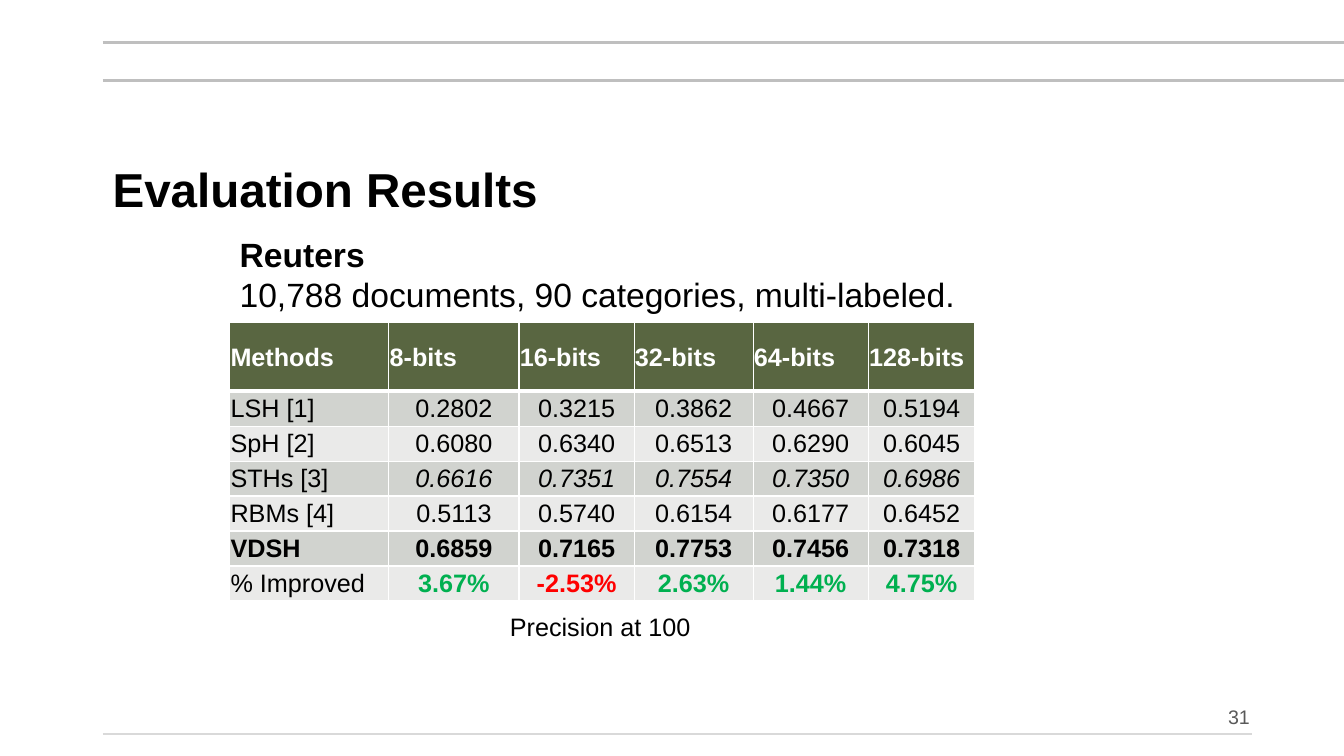
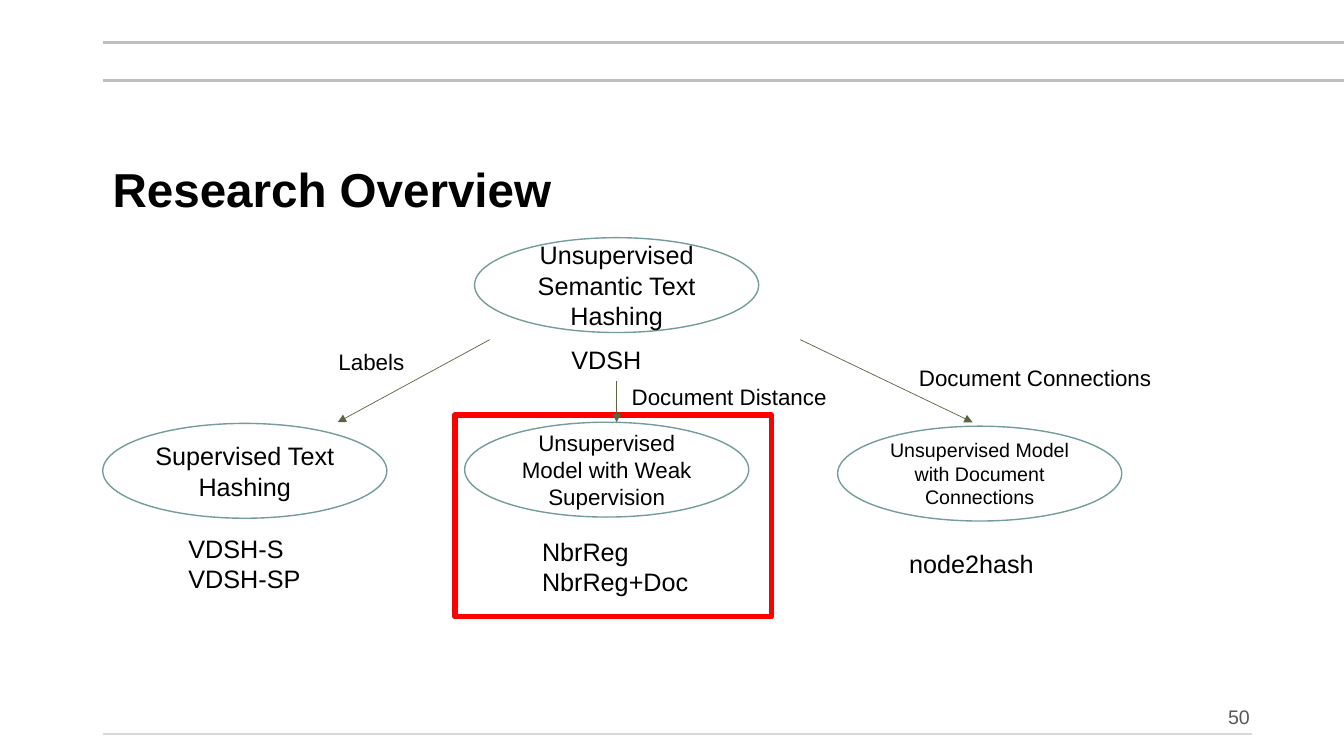
"""Build two slides on text hashing: evaluation results and research overview."""
from lxml.etree import SubElement
from pptx import Presentation
from pptx.dml.color import RGBColor
from pptx.enum.shapes import MSO_CONNECTOR, MSO_SHAPE
from pptx.enum.text import MSO_ANCHOR, PP_ALIGN
from pptx.oxml import parse_xml
from pptx.oxml.ns import nsdecls, qn
from pptx.util import Cm, Pt

BLACK, WHITE, RED, GREEN = "000000", "FFFFFF", "FF0000", "00B050"
OLIVE, TEAL, GREY = "596641", "759C9A", "595959"
BANDS = ["EAEAE9", "D1D3CF"]
rgb = RGBColor.from_string


def write(tf, text, size=18, color=BLACK, bold=False, italic=False,
          align=PP_ALIGN.LEFT, spacing=1.0):
    for i, line in enumerate(text.split("\n")):
        p = tf.paragraphs[0] if i == 0 else tf.add_paragraph()
        p.alignment = align
        p.line_spacing = spacing
        r = p.add_run()
        r.text = line
        r.font.name = "Arial"
        r.font.size = Pt(size)
        r.font.bold = bold
        r.font.italic = italic
        r.font.color.rgb = rgb(color)


def add_line(s, x1, y1, x2, y2, color, width, arrow=False):
    c = s.shapes.add_connector(MSO_CONNECTOR.STRAIGHT, Cm(x1), Cm(y1), Cm(x2), Cm(y2))
    c.line.color.rgb = rgb(color)
    c.line.width = Pt(width)
    if arrow:
        SubElement(c.line._get_or_add_ln(), qn("a:tailEnd"), type="triangle")
    SubElement(c._element.spPr, qn("a:effectLst"))


prs = Presentation()
prs.slide_width, prs.slide_height = Cm(33.87), Cm(19.05)

for title, number in [("Evaluation Results", "31"), ("Research Overview", "50")]:
    s = prs.slides.add_slide(prs.slide_layouts[6])
    for y, right, color in [(2.03, 33.87, "BFBFBF"), (1.07, 33.87, "BFBFBF"),
                            (18.49, 31.55, "D9D9D9")]:
        add_line(s, 2.59, y, right, y, color, 1.5)
    tf = s.shapes.add_textbox(Cm(2.59), Cm(3.25), Cm(28.93), Cm(3.18)).text_frame
    tf.word_wrap = True
    tf.vertical_anchor = MSO_ANCHOR.MIDDLE
    write(tf, title, 34, bold=True, spacing=0.9)
    tf = s.shapes.add_textbox(Cm(20.98), Cm(17.37), Cm(10.77), Cm(1.12)).text_frame
    tf.word_wrap = True
    tf.vertical_anchor = MSO_ANCHOR.BOTTOM
    write(tf, number, 14, GREY, align=PP_ALIGN.RIGHT, spacing=0.9)

results, overview = prs.slides

tf = results.shapes.add_textbox(Cm(5.79), Cm(5.77), Cm(18.72), Cm(2.31)).text_frame
tf.word_wrap = False
write(tf, "Reuters\n10,788 documents, 90 categories, multi-labeled.", 24)
tf.paragraphs[0].runs[0].font.bold = True

rows = [
    ["Methods", "8-bits", "16-bits", "32-bits", "64-bits", "128-bits"],
    ["LSH [1]", "0.2802", "0.3215", "0.3862", "0.4667", "0.5194"],
    ["SpH [2]", "0.6080", "0.6340", "0.6513", "0.6290", "0.6045"],
    ["STHs [3]", "0.6616", "0.7351", "0.7554", "0.7350", "0.6986"],
    ["RBMs [4]", "0.5113", "0.5740", "0.6154", "0.6177", "0.6452"],
    ["VDSH", "0.6859", "0.7165", "0.7753", "0.7456", "0.7318"],
    ["% Improved", "3.67%", "-2.53%", "2.63%", "1.44%", "4.75%"],
]
widths = [4.01, 3.28, 2.9, 3, 2.9, 2.69]
table = results.shapes.add_table(len(rows), len(widths), Cm(5.79), Cm(8.13),
                                 Cm(sum(widths)), Cm(7.01)).table
for column, width in zip(table.columns, widths):
    column.width = Cm(width)
for i, row in enumerate(rows):
    table.rows[i].height = Cm(0.88 if i else 1.73)
    for j, text in enumerate(row):
        cell = table.cell(i, j)
        cell.margin_left = cell.margin_top = cell.margin_right = Cm(0.02)
        cell.margin_bottom = 0
        cell.vertical_anchor = MSO_ANCHOR.MIDDLE
        tcPr = cell._tc.get_or_add_tcPr()
        for side in "LRTB":
            thick = (i, side) in [(0, "B"), (1, "T")]
            tcPr.append(parse_xml(
                f'<a:ln{side} {nsdecls("a")} w="{Pt(3 if thick else 1)}"><a:solidFill>'
                f'<a:srgbClr val="{WHITE}"/></a:solidFill></a:ln{side}>'))
        cell.fill.solid()
        cell.fill.fore_color.rgb = rgb(BANDS[i % 2] if i else OLIVE)
        color = BLACK if i else WHITE
        if text.endswith("%"):
            color = RED if text.startswith("-") else GREEN
        write(cell.text_frame, text, color=color,
              bold=i in (0, 5) or text.endswith("%"),
              italic=row[0] == "STHs [3]" and j > 0,
              align=PP_ALIGN.CENTER if i and j else PP_ALIGN.LEFT)

frame = overview.shapes.add_shape(MSO_SHAPE.RECTANGLE, Cm(11.46), Cm(10.46), Cm(7.98), Cm(5.08))
ellipses = [
    (11.96, 5.99, "Unsupervised Semantic Text Hashing", 18),
    (2.59, 10.67, "Supervised Text Hashing", 18),
    (11.71, 10.64, "Unsupervised Model with Weak Supervision", 16),
    (21.11, 10.74, "Unsupervised Model with Document Connections", 14),
]
outlined = [(frame, RED, 4)]
for x, y, text, size in ellipses:
    sp = overview.shapes.add_shape(MSO_SHAPE.OVAL, Cm(x), Cm(y), Cm(7.16), Cm(2.39))
    sp.text_frame.word_wrap = True
    sp.text_frame.vertical_anchor = MSO_ANCHOR.MIDDLE
    write(sp.text_frame, text, size, align=PP_ALIGN.CENTER)
    outlined.append((sp, TEAL, 1))
for sp, color, width in outlined:
    sp.shadow.inherit = False
    sp.fill.solid()
    sp.fill.fore_color.rgb = rgb(WHITE)
    sp.line.color.rgb = rgb(color)
    sp.line.width = Pt(width)

for x1, y1, x2 in [(15.54, 9.6, 15.54), (20.17, 8.56, 24.51), (12.34, 8.56, 8.51)]:
    add_line(overview, x1, y1, x2, 10.64, OLIVE, 0.5, arrow=True)

labels = [
    (results, 12.6, 15.29, 5.11, 1.02, "Precision at 100", 18),
    (overview, 4.5, 13.31, 3.35, 1.8, "VDSH-S\nVDSH-SP", 18),
    (overview, 13.41, 13.39, 4.24, 1.8, "NbrReg\nNbrReg+Doc", 18),
    (overview, 22.66, 13.69, 3.68, 1.02, "node2hash", 18),
    (overview, 14.15, 8.56, 2.29, 1.02, "VDSH", 18),
    (overview, 15.67, 9.53, 5.49, 0.94, "Document Distance", 16),
    (overview, 22.91, 9.04, 6.43, 0.94, "Document Connections", 16),
    (overview, 8.28, 8.66, 2.18, 0.94, "Labels", 16),
]
for s, x, y, w, h, text, size in labels:
    tf = s.shapes.add_textbox(Cm(x), Cm(y), Cm(w), Cm(h)).text_frame
    tf.word_wrap = False
    write(tf, text, size)

prs.save("out.pptx")
